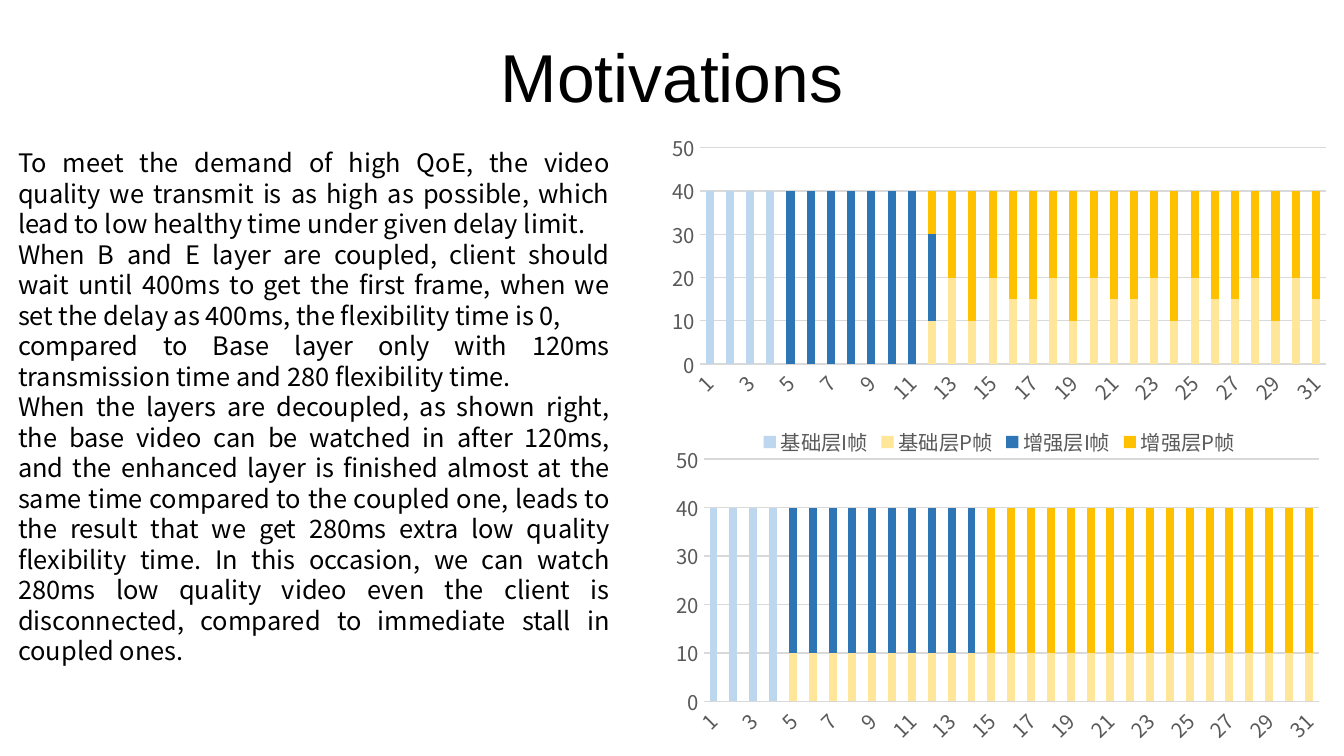
from lxml import etree
from pptx import Presentation
from pptx.chart.data import CategoryChartData
from pptx.dml.color import RGBColor
from pptx.enum.chart import XL_CHART_TYPE as ChartType
from pptx.enum.chart import XL_LEGEND_POSITION as LegendPos
from pptx.enum.chart import XL_TICK_MARK as TickMark
from pptx.enum.text import MSO_ANCHOR as Anchor
from pptx.enum.text import PP_ALIGN as Align
from pptx.oxml.ns import qn
from pptx.util import Pt

BODY_FONT = "Noto Sans CJK SC"
GREY, GRID = "595959", "D9D9D9"
FRAMES = 31
LAYERS = [("基础层I帧", "BDD7EE"), ("基础层P帧", "FFE699"),
          ("增强层I帧", "2E75B6"), ("增强层P帧", "FFC000")]

PARAGRAPHS = [
    "To meet the demand of high QoE, the video quality we transmit is as high "
    "as possible, which lead to low healthy time under given delay limit.",
    "When B and E layer are coupled, client should wait until 400ms to get the "
    "first frame, when we set the delay as 400ms, the flexibility time is 0,",
    "compared to Base layer only with 120ms transmission time and 280 "
    "flexibility time.",
    "When the layers are decoupled, as shown right, the base video can be "
    "watched in after 120ms, and the enhanced layer is finished almost at the "
    "same time compared to the coupled one, leads to the result that we get "
    "280ms extra low quality flexibility time. In this occasion, we can watch "
    "280ms low quality video even the client is disconnected, compared to "
    "immediate stall in coupled ones.",
]

# Frame values per layer; the coupled P frames repeat every five frames
base_p = ([20, 10, 20, 15, 15] * 4)[:19]
COUPLED = [
    [40] * 4 + [0] * 27,
    [0] * 10 + [None, 10] + base_p,
    [0] * 4 + [40] * 7 + [20] + [0] * 19,
    [0] * 11 + [10] + [40 - v for v in base_p],
]
DECOUPLED = [
    [40] * 4 + [None] + [0] * 26,
    [0] * 4 + [10] * 27,
    [0] * 4 + [30] * 10 + [0] * 17,
    [0] * 14 + [30] * 17,
]


def rgb(color):
    return RGBColor.from_string(color)


def set_font(font, size, color, name):
    font.size, font.name = Pt(size), name
    font.color.rgb = rgb(color)


def add_text(s, box, texts, size, font, align, anchor, margins, spacing=None):
    tf = s.shapes.add_textbox(*map(Pt, box)).text_frame
    tf.word_wrap, tf.vertical_anchor = True, anchor
    tf.margin_left = tf.margin_right = Pt(margins[0])
    tf.margin_top = tf.margin_bottom = Pt(margins[1])
    for i, text in enumerate(texts):
        p = tf.paragraphs[0] if i == 0 else tf.add_paragraph()
        p.text, p.alignment = text, align
        if spacing:
            p.line_spacing = Pt(spacing)
        set_font(p.font, size, "000000", font)


def add_title(s, box):
    add_text(s, box, ["Motivations"], 40, "Arial", Align.CENTER,
             Anchor.MIDDLE, (0, 0))


def add_body(s, box):
    add_text(s, box, PARAGRAPHS, 15, BODY_FONT, Align.JUSTIFY,
             Anchor.TOP, (7.2, 3.6), 18)


def style_axes(chart):
    cat, val = chart.category_axis, chart.value_axis
    for axis in (cat, val):
        axis.major_tick_mark = axis.minor_tick_mark = TickMark.NONE
        set_font(axis.tick_labels.font, 12, GREY, BODY_FONT)
    val.minimum_scale, val.maximum_scale, val.major_unit = 0, 50, 10
    val.has_major_gridlines = True
    val.format.line.fill.background()
    for line in (cat.format.line, val.major_gridlines.format.line):
        line.color.rgb, line.width = rgb(GRID), Pt(0.75)
    # Slanted frame numbers
    cat._element.find(".//" + qn("a:bodyPr")).set("rot", "-2700000")


def add_legend(chart):
    chart.has_legend = True
    legend = chart.legend
    legend.position, legend.include_in_layout = LegendPos.BOTTOM, False
    set_font(legend.font, 12, GREY, BODY_FONT)
    latin = legend._element.find(".//" + qn("a:latin"))
    east_asian = etree.Element(qn("a:ea"))
    east_asian.set("typeface", BODY_FONT)
    latin.addnext(east_asian)


def set_plot_layout(chart, plot_box):
    plot_area = chart._chartSpace.find(".//" + qn("c:plotArea"))
    for old in plot_area.findall(qn("c:layout")):
        plot_area.remove(old)
    layout = etree.Element(qn("c:layout"))
    manual = etree.SubElement(layout, qn("c:manualLayout"))
    settings = [("layoutTarget", "outer"), ("xMode", "edge"), ("yMode", "edge")]
    settings += zip("xywh", map(str, plot_box))
    for tag, value in settings:
        etree.SubElement(manual, qn("c:" + tag)).set("val", value)
    plot_area.insert(0, layout)


def add_frame_chart(s, box, values, legend=False, plot_box=None):
    data = CategoryChartData()
    data.categories = [str(n) for n in range(1, FRAMES + 1)]
    for (name, _), vals in zip(LAYERS, values):
        data.add_series(name, vals)
    chart = s.shapes.add_chart(ChartType.COLUMN_STACKED, *map(Pt, box), data).chart
    chart.has_title = chart.has_legend = False
    set_font(chart.font, 10, "000000", "Arial")
    plot = chart.plots[0]
    plot.gap_width, plot.overlap, plot.vary_by_categories = 150, 100, False
    for series, (_, color) in zip(plot.series, LAYERS):
        series.format.fill.solid()
        series.format.fill.fore_color.rgb = rgb(color)
    style_axes(chart)
    if legend:
        add_legend(chart)
    if plot_box:
        set_plot_layout(chart, plot_box)


def main():
    prs = Presentation()
    prs.slide_width, prs.slide_height = Pt(793.44), Pt(446.4)
    s = prs.slides.add_slide(prs.slide_layouts[6])
    # Coupled layers above, decoupled layers below
    add_frame_chart(s, (388.8, 74.2, 402.5, 198.7), COUPLED, legend=True)
    add_frame_chart(s, (395.3, 262.1, 391.7, 177.1), DECOUPLED,
                    plot_box=(0.01, 0, 0.97, 1))
    add_title(s, (39.6, 7.2, 714.2, 74.9))
    add_body(s, (3.6, 83.5, 363.6, 313.2))
    prs.save("out.pptx")


if __name__ == "__main__":
    main()
